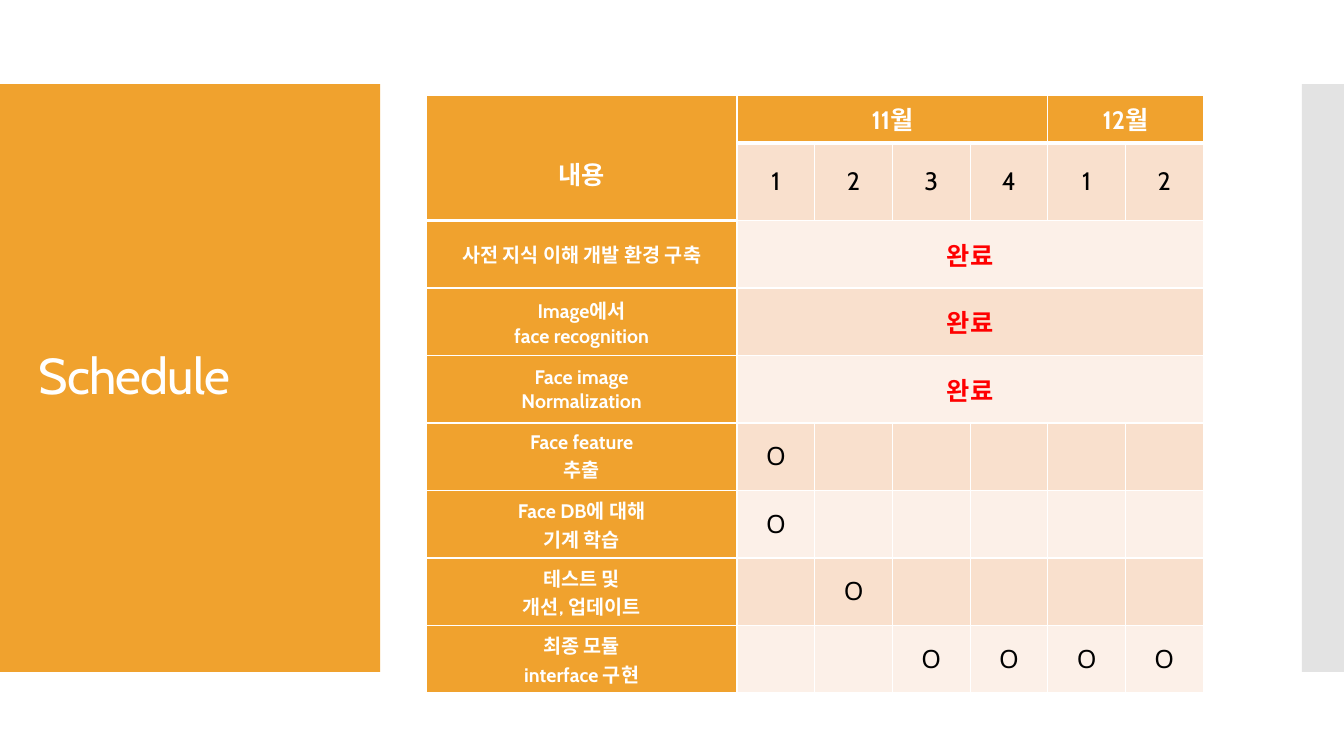
import dataclasses

import lxml.etree
import pptx
import pptx.dml.color
import pptx.enum.shapes
import pptx.enum.text
import pptx.oxml.ns
import pptx.util

ALIGN = pptx.enum.text.PP_ALIGN
MIDDLE = pptx.enum.text.MSO_ANCHOR.MIDDLE


@dataclasses.dataclass(frozen=True)
class Theme:
    font: str = "Cabin"
    gold: str = "F0A22E"
    gray: str = "C8C8C8"
    white: str = "FFFFFF"
    black: str = "000000"
    red: str = "FF0000"
    peach: str = "F9E0CD"
    cream: str = "FCF0E8"
    big: int = 36
    mid: int = 18
    small: int = 14
    thin: int = 1
    thick: int = 3


def color(code):
    return pptx.dml.color.RGBColor.from_string(code)


def child(node, tag, **attrs):
    return lxml.etree.SubElement(node, pptx.oxml.ns.qn(tag), attrs)


class Deck:
    COLS, ROWS = 160, 90

    def __init__(self, theme):
        self.theme = theme
        self.show = pptx.Presentation()
        self.show.slide_width = pptx.util.Inches(13.33)
        self.show.slide_height = pptx.util.Inches(7.5)
        self.slide = self.show.slides.add_slide(self.show.slide_layouts[5])

    def wide(self, cols):
        return int(self.show.slide_width * cols / self.COLS)

    def high(self, rows):
        return int(self.show.slide_height * rows / self.ROWS)

    def place(self, x, y, w, h):
        return self.wide(x), self.high(y), self.wide(w), self.high(h)

    def panel(self, x, y, w, h, fill, alpha=100):
        kind = pptx.enum.shapes.MSO_SHAPE.RECTANGLE
        shape = self.slide.shapes.add_shape(kind, *self.place(x, y, w, h))
        shape.shadow.inherit = False
        shape.line.fill.background()
        shape.fill.solid()
        shape.fill.fore_color.rgb = color(fill)
        if alpha < 100:
            props = shape._element.spPr
            tint = props.find(".//" + pptx.oxml.ns.qn("a:srgbClr"))
            child(tint, "a:alpha", val=str(alpha * 1000))

    def label(self, frame, text, size, ink, bold=False, align=ALIGN.CENTER):
        for i, line in enumerate(text.split("\n")):
            para = frame.add_paragraph() if i else frame.paragraphs[0]
            para.alignment = align
            for j, part in enumerate(line.split("\v")):
                if j:
                    para.add_line_break()
                run = para.add_run()
                run.text = part
                run.font.name = self.theme.font
                run.font.size = pptx.util.Pt(size)
                run.font.bold = bold
                run.font.color.rgb = color(ink)

    def title(self, text, x, y, w, h):
        shape = self.slide.shapes.title
        shape.left, shape.top, shape.width, shape.height = self.place(x, y, w, h)
        self.slide.shapes._spTree.append(shape._element)
        frame = shape.text_frame
        frame.word_wrap = True
        frame.auto_size = pptx.enum.text.MSO_AUTO_SIZE.NONE
        frame.vertical_anchor = MIDDLE
        self.label(frame, text, self.theme.big, self.theme.white, align=ALIGN.LEFT)
        para = frame.paragraphs[0]
        para.line_spacing = 0.9
        para.runs[0].font._element.set("spc", "-60")

    def table(self, x, y, cols, rows):
        area = self.place(x, y, sum(cols), sum(rows))
        frame = self.slide.shapes.add_table(len(rows), len(cols), *area)
        grid = frame.table
        grid.first_row = grid.horz_banding = False
        for col, size in zip(grid.columns, cols):
            col.width = self.wide(size)
        for row, size in zip(grid.rows, rows):
            row.height = self.high(size)
        return grid

    def edge(self, cell, top, base):
        sides = {"L": self.theme.thin, "R": self.theme.thin, "T": top, "B": base}
        props = cell._tc.get_or_add_tcPr()
        for side, size in sides.items():
            line = child(props, "a:ln" + side, w=str(int(pptx.util.Pt(size))))
            child(child(line, "a:solidFill"), "a:srgbClr", val=self.theme.white)

    def paint(self, cell, fill):
        cell.fill.solid()
        cell.fill.fore_color.rgb = color(fill)
        cell.vertical_anchor = MIDDLE


MONTHS = [("11월", 1, 4), ("12월", 5, 6)]
WEEKS = "123412"
DONE = "완료"
MARK = "Ο"
TASKS = [
    ("사전 지식 이해 개발 환경 구축", None),
    ("Image에서\vface recognition", None),
    ("Face image\nNormalization", None),
    ("Face feature\v추출", [1]),
    ("Face DB에 대해\v기계 학습", [1]),
    ("테스트 및\v개선, 업데이트", [2]),
    ("최종 모듈\vinterface 구현", [3, 4, 5, 6]),
]


def main():
    theme = Theme()
    deck = Deck(theme)
    deck.panel(0, 10, 45.25, 70, theme.gold)
    deck.panel(155, 10, 5, 70, theme.gray, alpha=50)
    deck.title("Schedule", 3.4, 14.8, 38.6, 60.4)

    last = len(WEEKS)
    sizes = [5.7, 9.2] + [8.04] * len(TASKS)
    grid = deck.table(50.75, 11.3, [37] + [9.25] * last, sizes)
    for r in range(len(sizes)):
        for c in range(last + 1):
            cell = grid.cell(r, c)
            split = 1 if c else 2
            top = theme.thick if r == split else theme.thin
            base = theme.thick if r < split else theme.thin
            deck.edge(cell, top, base)
            band = theme.peach if r % 2 else theme.cream
            deck.paint(cell, theme.gold if r == 0 or c == 0 else band)

    head = grid.cell(0, 0)
    head.merge(grid.cell(1, 0))
    head.margin_top = deck.high(4.3)
    deck.label(head.text_frame, "내용", theme.mid, theme.white, True)
    for text, first, end in MONTHS:
        cell = grid.cell(0, first)
        cell.merge(grid.cell(0, end))
        deck.label(cell.text_frame, text, theme.mid, theme.white, True)
    for c, week in enumerate(WEEKS, 1):
        frame = grid.cell(1, c).text_frame
        deck.label(frame, week, theme.mid, theme.black)

    for r, (task, weeks) in enumerate(TASKS, 2):
        frame = grid.cell(r, 0).text_frame
        deck.label(frame, task, theme.small, theme.white, True)
        if weeks is None:
            cell = grid.cell(r, 1)
            cell.merge(grid.cell(r, last))
            deck.label(cell.text_frame, DONE, theme.mid, theme.red, True)
        else:
            for c in weeks:
                frame = grid.cell(r, c).text_frame
                deck.label(frame, MARK, theme.mid, theme.black)
    deck.show.save("out.pptx")


if __name__ == "__main__":
    main()
